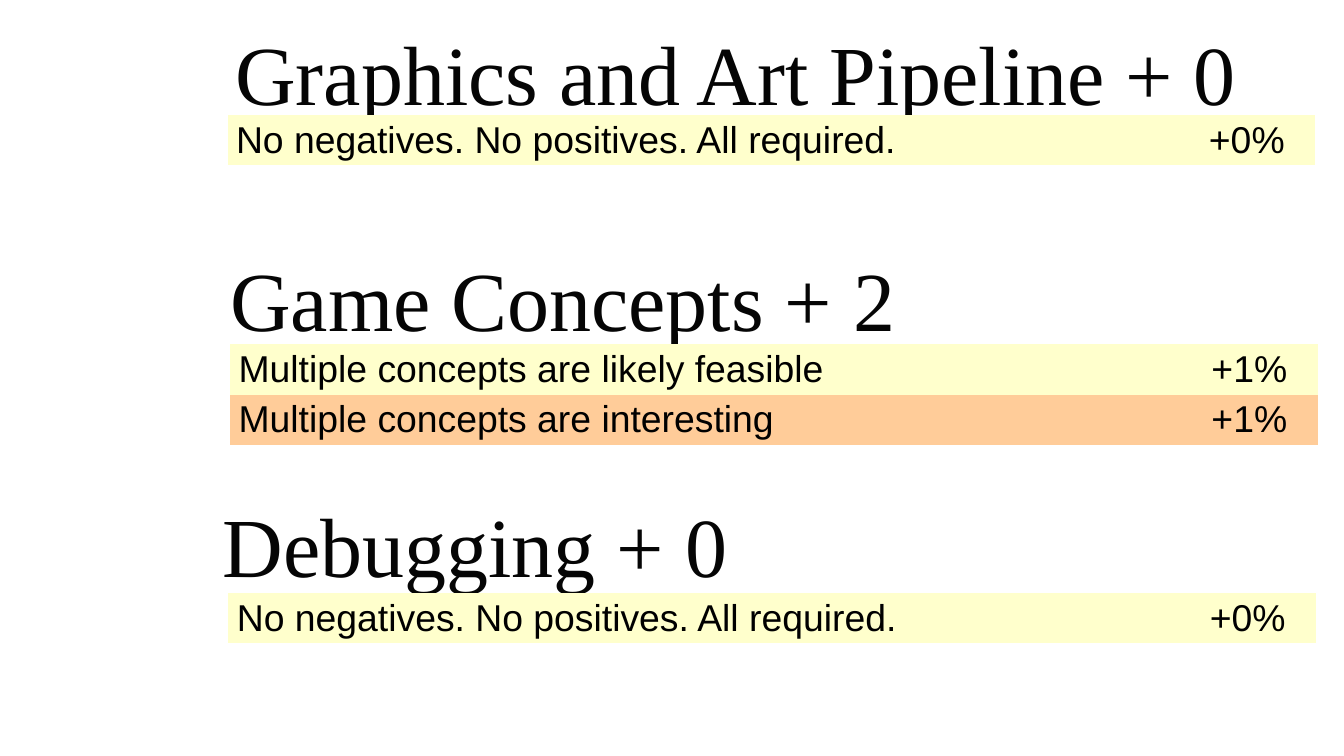
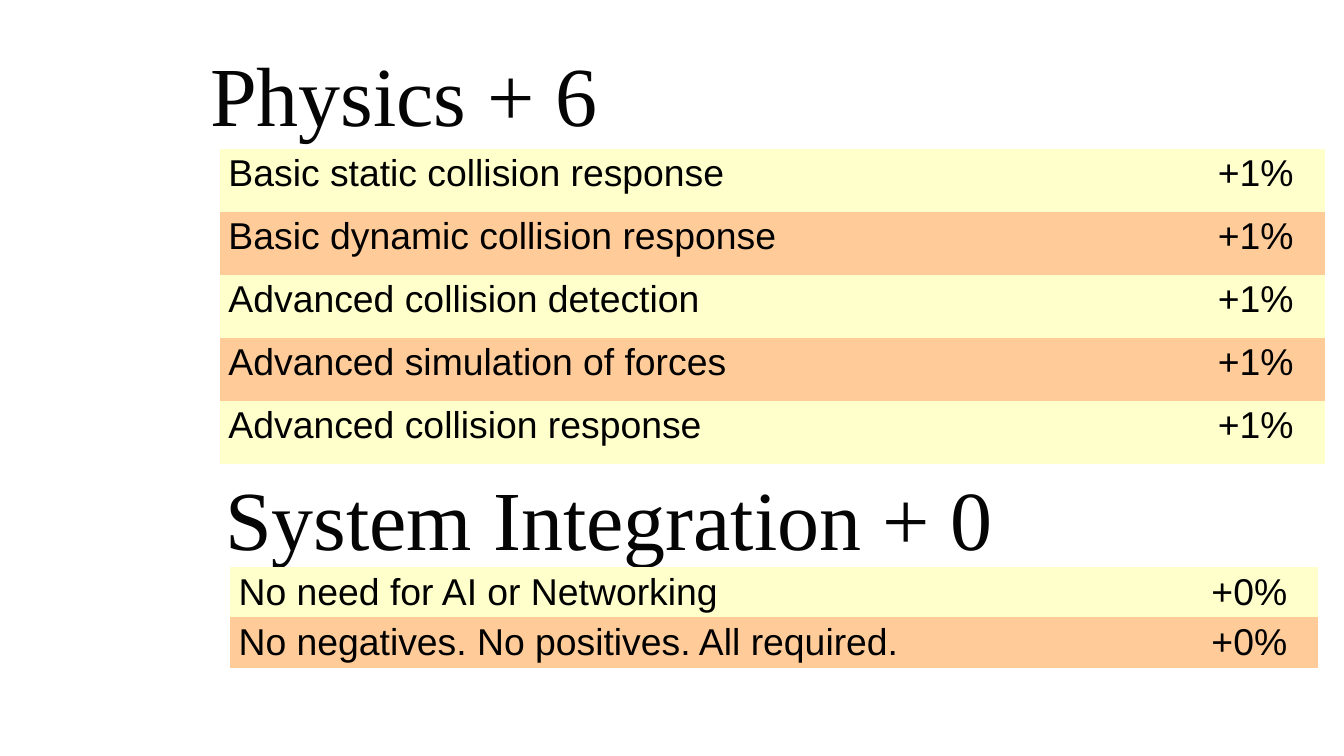
import pptx
import pptx.util
import pptx.dml.color
import pptx.enum.text

Inch = pptx.util.Inches
Align = pptx.enum.text.PP_ALIGN

WIDE, HIGH = 16, 9
HUES = {"title": "050505", "text": "000000", "odd": "FFFFCC", "even": "FFCC99"}
PLAIN = "{2D5ABB26-0587-4C30-8999-92F81FD0307C}"
SHARE = 0.874
NONE = "No negatives. No positives. All required."

SLIDES = [
    [
        {"title": "Graphics and Art Pipeline + 0", "head": (2.8, 0.1, 13.2, 1.5),
         "grid": (2.71, 1.37, 12.95, 0.6), "rows": [(NONE, "+0%")]},
        {"title": "Game Concepts + 2", "head": (2.74, 2.8, 12.59, 1.5),
         "grid": (2.74, 4.1, 12.95, 0.6),
         "rows": [("Multiple concepts are likely feasible", "+1%"),
                  ("Multiple concepts are interesting", "+1%")]},
        {"title": "Debugging + 0", "head": (2.65, 5.6, 9.75, 1.76),
         "grid": (2.72, 7.06, 12.95, 0.6), "rows": [(NONE, "+0%")]},
    ],
    [
        {"title": "Physics + 6", "head": (2.5, 0.36, 12.59, 1.5),
         "grid": (2.62, 1.77, 13.16, 0.75),
         "rows": [("Basic static collision response", "+1%"),
                  ("Basic dynamic collision response", "+1%"),
                  ("Advanced collision detection", "+1%"),
                  ("Advanced simulation of forces", "+1%"),
                  ("Advanced collision response", "+1%")]},
        {"title": "System Integration + 0", "head": (2.68, 5.4, 12.59, 1.5),
         "grid": (2.74, 6.75, 12.95, 0.6),
         "rows": [("No need for AI or Networking", "+0%"), (NONE, "+0%")]},
    ],
]


def color(name):
    return pptx.dml.color.RGBColor.from_string(HUES[name])


def style(para, face, size, hue, align):
    para.alignment = align
    para.font.name = face
    para.font.size = pptx.util.Pt(size)
    para.font.color.rgb = color(hue)


def add_head(shape, text, box):
    shape.left, shape.top, shape.width, shape.height = map(Inch, box)
    frame = shape.text_frame
    frame.text = text
    frame.word_wrap = True
    frame.auto_size = pptx.enum.text.MSO_AUTO_SIZE.NONE
    frame.vertical_anchor = pptx.enum.text.MSO_ANCHOR.MIDDLE
    frame.margin_left = frame.margin_right = 0
    frame.margin_top = frame.margin_bottom = 0
    style(frame.paragraphs[0], "Times New Roman", 72, "title", Align.LEFT)


def add_grid(slide, rows, grid):
    left, top, width, step = grid
    box = map(Inch, (left, top, width, step * len(rows)))
    shape = slide.shapes.add_table(len(rows), 2, *box)
    shape._element.xpath(".//a:tableStyleId")[0].text = PLAIN
    table = shape.table
    table.first_row = table.horz_banding = False
    table.columns[0].width = Inch(width * SHARE)
    table.columns[1].width = Inch(width * (1 - SHARE))
    for r, row in enumerate(rows):
        for c, text in enumerate(row):
            cell = table.cell(r, c)
            cell.text = text
            cell.fill.solid()
            cell.fill.fore_color.rgb = color("even" if r % 2 else "odd")
            style(cell.text_frame.paragraphs[0], "Arial", 32, "text",
                  Align.CENTER if c else Align.LEFT)


def main():
    deck = pptx.Presentation()
    deck.slide_width, deck.slide_height = Inch(WIDE), Inch(HIGH)
    for parts in SLIDES:
        slide = deck.slides.add_slide(deck.slide_layouts[5])
        for n, part in enumerate(parts):
            box = part["head"]
            head = slide.shapes.add_textbox(*map(Inch, box)) if n else slide.shapes.title
            add_head(head, part["title"], box)
            add_grid(slide, part["rows"], part["grid"])
    deck.save("out.pptx")


if __name__ == "__main__":
    main()
